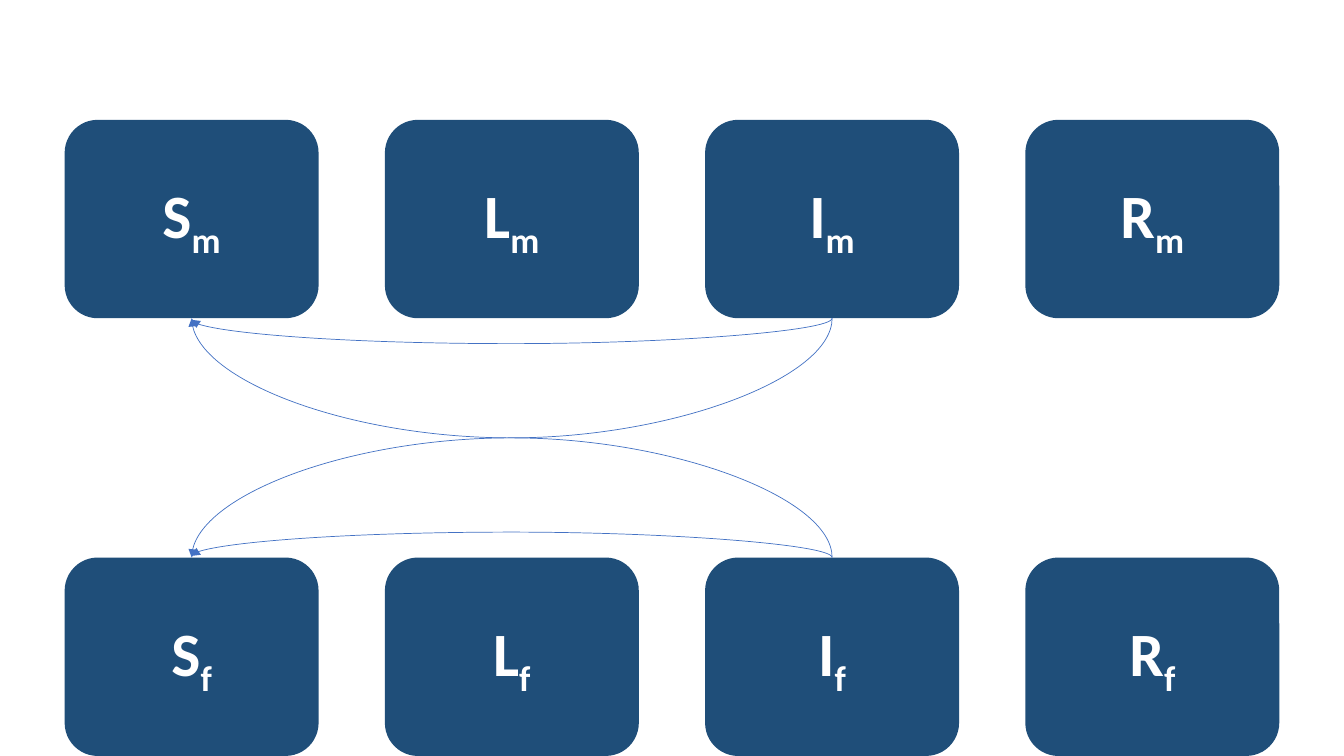
from pptx import Presentation
from pptx.dml.color import RGBColor
from pptx.enum.shapes import MSO_CONNECTOR as Link, MSO_SHAPE as Shape
from pptx.enum.text import MSO_ANCHOR as Anchor, PP_ALIGN as Align
from pptx.oxml.ns import qn
from pptx.util import Cm, Pt
from lxml.etree import SubElement

LEFT, PITCH = 1.63, 8.07
WIDE, HIGH = 6.4, 5
MALE, FEMALE = 3.02, 14.05
STATES = "SLIR"


def color(code):
    return RGBColor.from_string(code)


def middle(state):
    return LEFT + STATES.index(state) * PITCH + WIDE / 2


def add_box(group, state, sex, top):
    left = middle(state) - WIDE / 2
    box = group.shapes.add_shape(Shape.ROUNDED_RECTANGLE, Cm(left), Cm(top), Cm(WIDE), Cm(HIGH))
    box.shadow.inherit = False
    box.fill.solid()
    box.fill.fore_color.rgb = color("1F4E79")
    box.line.fill.background()
    box.text_frame.vertical_anchor = Anchor.MIDDLE
    para = box.text_frame.paragraphs[0]
    para.alignment = Align.CENTER
    para.font.name = "Calibri"
    para.font.size = Pt(44)
    para.font.bold = True
    para.font.color.rgb = color("FFFFFF")
    para.add_run().text = state
    sub = para.add_run()
    sub.text = sex
    sub._r.get_or_add_rPr().set("baseline", "-25000")


def add_curve(slide, start, end, bend, down):
    right, left = middle("I"), middle("S")
    wide, high = abs(end - start), right - left
    x = (left + right - wide) / 2
    y = (start + end - high) / 2
    first, last = (y, y + high) if down else (y + high, y)
    curve = slide.shapes.add_connector(Link.CURVE, Cm(x), Cm(first), Cm(x + wide), Cm(last))
    curve.line.color.rgb = color("4472C4")
    curve.line.width = Pt(0.5)
    props = curve._element.spPr
    props.find(qn("a:xfrm")).set("rot", str((90 if down else 270) * 60000))
    guides = props.find(qn("a:prstGeom")).get_or_add_avLst()
    SubElement(guides, qn("a:gd"), name="adj1", fmla=f"val {round(bend * 100000)}")
    SubElement(curve.line._get_or_add_ln(), qn("a:tailEnd"), type="triangle")
    SubElement(props, qn("a:effectLst"))


def main():
    deck = Presentation()
    deck.slide_width, deck.slide_height = Cm(33.87), Cm(19.05)
    slide = deck.slides.add_slide(deck.slide_layouts[6])
    group = slide.shapes.add_group_shape()
    for sex, top in (("m", MALE), ("f", FEMALE)):
        for state in STATES:
            add_box(group, state, sex, top)
    base = MALE + HIGH
    add_curve(slide, base, base + 0.04, 16, True)
    add_curve(slide, base, FEMALE, 0.5, True)
    add_curve(slide, FEMALE, FEMALE - 0.04, 16, False)
    add_curve(slide, FEMALE, base, 0.5, False)
    deck.save("out.pptx")


if __name__ == "__main__":
    main()
